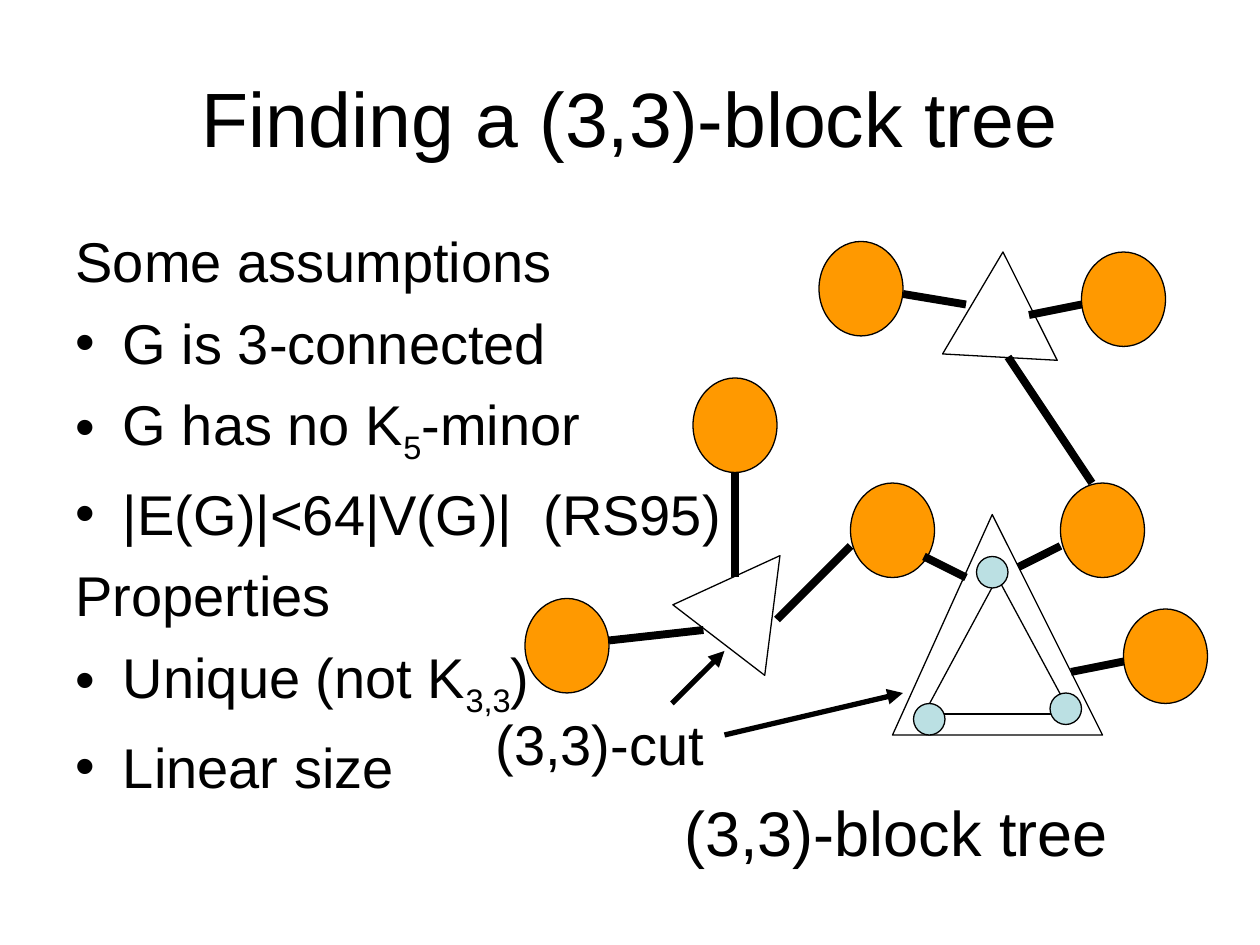
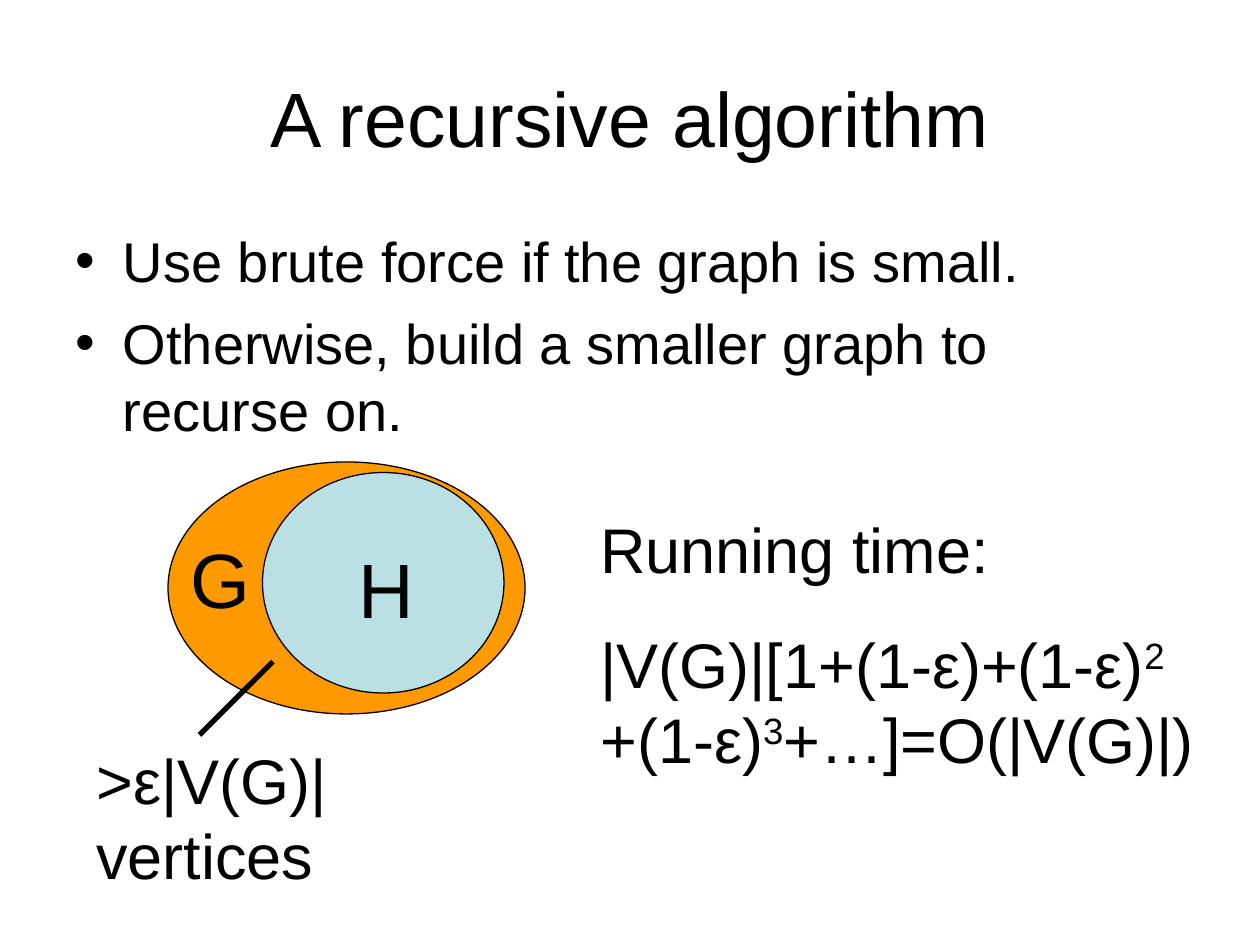
from lxml import etree
from pptx import Presentation
from pptx.dml.color import RGBColor
from pptx.enum.shapes import MSO_CONNECTOR as CONN, MSO_SHAPE as SHAPE
from pptx.enum.text import MSO_ANCHOR as ANCHOR, MSO_AUTO_SIZE as FIT, PP_ALIGN as ALIGN
from pptx.oxml.ns import qn
from pptx.util import Pt

COLORS = {"ink": "000000", "paper": "FFFFFF", "block": "FF9900", "vertex": "BBE0E3"}
FONT = "Arial"
HANGING = 27
SUB, SUP = -25000, 30000


def color(name):
    return RGBColor.from_string(COLORS[name])


def points(*values):
    return [Pt(v) for v in values]


class Deck:
    """Holds the presentation, its style and the current slide."""

    def __init__(self):
        self.prs = Presentation()
        self.prs.slide_width, self.prs.slide_height = points(720, 540)

    # Text
    def place(self, sp, box):
        for name, value in zip(("left", "top", "width", "height"), points(*box)):
            setattr(sp, name, value)

    def fill_text(self, p, runs, size):
        """Each run is a string, or a (string, baseline shift) pair."""
        for run in [runs] if isinstance(runs, str) else runs:
            text, shift = (run, 0) if isinstance(run, str) else run
            r = p.add_run()
            r.text = text
            for key, value in {"name": FONT, "size": Pt(size)}.items():
                setattr(r.font, key, value)
            r.font.color.rgb = color("ink")
            if shift:
                r._r.get_or_add_rPr().set("baseline", str(shift))

    def paragraphs(self, tf, items, size, gap):
        for i, runs in enumerate(items):
            p = tf.paragraphs[0] if i == 0 else tf.add_paragraph()
            p.space_before = Pt(gap if i else 0)
            self.fill_text(p, runs, size)

    def slide(self, title):
        self.s = self.prs.slides.add_slide(self.prs.slide_layouts[1])
        sp = self.s.shapes.title
        self.place(sp, (36, 21.6, 648, 90))
        tf = sp.text_frame
        for key, value in {"vertical_anchor": ANCHOR.MIDDLE, "auto_size": FIT.NONE,
                           "word_wrap": True}.items():
            setattr(tf, key, value)
        tf.paragraphs[0].alignment = ALIGN.CENTER
        self.fill_text(tf.paragraphs[0], title, 44)

    def body(self, items, headings=()):
        """Bulleted list; the items named in headings carry no bullet."""
        sp = self.s.placeholders[1]
        self.place(sp, (36, 126, 648, 356.4))
        tf = sp.text_frame
        tf.word_wrap, tf.auto_size = True, FIT.NONE
        self.paragraphs(tf, items, 32, 8)
        for p, runs in zip(tf.paragraphs, items):
            pPr = p._p.get_or_add_pPr()
            pPr.set("marL", str(Pt(HANGING)))
            pPr.set("indent", str(-Pt(HANGING)))
            if runs in headings:
                etree.SubElement(pPr, qn("a:buNone"))
            else:
                etree.SubElement(pPr, qn("a:buFont")).set("typeface", FONT)
                etree.SubElement(pPr, qn("a:buChar")).set("char", "•")

    def label(self, box, items, size):
        tf = self.s.shapes.add_textbox(*points(*box)).text_frame
        tf.word_wrap, tf.auto_size = True, FIT.SHAPE_TO_FIT_TEXT
        self.paragraphs(tf, items, size, 22.5)

    # Drawing
    def paint(self, sp, fill):
        sp.shadow.inherit = False
        sp.fill.solid()
        sp.fill.fore_color.rgb = color(fill)
        sp.line.color.rgb = color("ink")
        sp.line.width = Pt(0.75)

    def ellipse(self, x, y, w, h, fill):
        self.paint(self.s.shapes.add_shape(SHAPE.OVAL, *points(x, y, w, h)), fill)

    def triangle(self, *corners):
        start, *rest = [points(*corner) for corner in corners]
        builder = self.s.shapes.build_freeform(*start)
        builder.add_line_segments(rest, close=True)
        self.paint(builder.convert_to_shape(), "paper")

    def line(self, start, end, width, arrow=False):
        c = self.s.shapes.add_connector(CONN.STRAIGHT, *points(*start, *end))
        c.line.color.rgb = color("ink")
        c.line.width = Pt(width)
        if arrow:
            etree.SubElement(c.line._get_or_add_ln(), qn("a:tailEnd")).set("type", "triangle")
        etree.SubElement(c._element.spPr, qn("a:effectLst"))


def block_tree(deck):
    deck.slide("Finding a (3,3)-block tree")
    headings = ("Some assumptions", "Properties")
    deck.body([
        headings[0],
        "G is 3-connected",
        ["G has no K", ("5", SUB), "-minor"],
        "|E(G)|<64|V(G)|  (RS95)",
        headings[1],
        ["Unique (not K", ("3,3", SUB), ")"],
        "Linear size",
    ], headings)

    # Blocks
    for x, y in [(486, 276), (606, 276), (642, 348), (300, 342),
                 (396, 216), (468, 138), (618, 144)]:
        deck.ellipse(x, y, 48, 54, "block")

    # Cuts
    deck.triangle((567, 294), (510, 420), (630, 420))
    deck.triangle((445.7, 317.5), (384.5, 345.6), (437, 385.9))
    deck.triangle((573.1, 144), (538.6, 202.3), (604.1, 205.9))

    # Vertices of the enlarged cut
    inner = [(528, 408), (570, 330), (612, 408)]
    for start, end in zip(inner, inner[1:] + inner[:1]):
        deck.line(start, end, 0.75)
    for x, y in [(558, 318), (522, 402), (600, 396)]:
        deck.ellipse(x, y, 18, 18, "vertex")

    # Tree edges
    for start, end in [((612, 384), (642, 378)), ((528, 318), (552, 330)),
                       ((606, 312), (582, 324)), ((348, 366), (402, 360)),
                       ((420, 270), (420, 330)), ((444, 354), (486, 312)),
                       ((576, 204), (624, 276)), ((516, 168), (552, 174)),
                       ((588, 180), (618, 174))]:
        deck.line(start, end, 4.5)

    # Captions
    deck.label((384, 450, 264, 50.4), ["(3,3)-block tree"], 36)
    deck.line((384, 402), (414, 372), 3, arrow=True)
    deck.line((414, 420), (516, 396), 3, arrow=True)
    deck.label((276, 402, 150, 46), ["(3,3)-cut"], 32)


def recursive_algorithm(deck):
    deck.slide("A recursive algorithm")
    deck.body(["Use brute force if the graph is small.",
               "Otherwise, build a smaller graph to recurse on."])

    # Graph G and the smaller graph H
    deck.ellipse(96, 264, 204, 144, "block")
    deck.label((102, 300, 90, 60.5), ["G"], 44)
    deck.ellipse(150, 270, 138, 126, "vertex")
    deck.label((198, 306, 54, 60.5), ["H"], 44)
    deck.line((156, 378), (114, 420), 3)
    deck.label((48, 420, 150, 93.6), [">ε|V(G)| vertices"], 36)

    # Running time
    deck.label((336, 288, 366, 160), [
        "Running time:",
        ["|V(G)|[1+(1-ε)+(1-ε)", ("2 ", SUP), "+(1-ε)", ("3", SUP), "+…]=O(|V(G)|)"],
    ], 36)


def main():
    deck = Deck()
    block_tree(deck)
    recursive_algorithm(deck)
    deck.prs.save("out.pptx")


if __name__ == "__main__":
    main()
